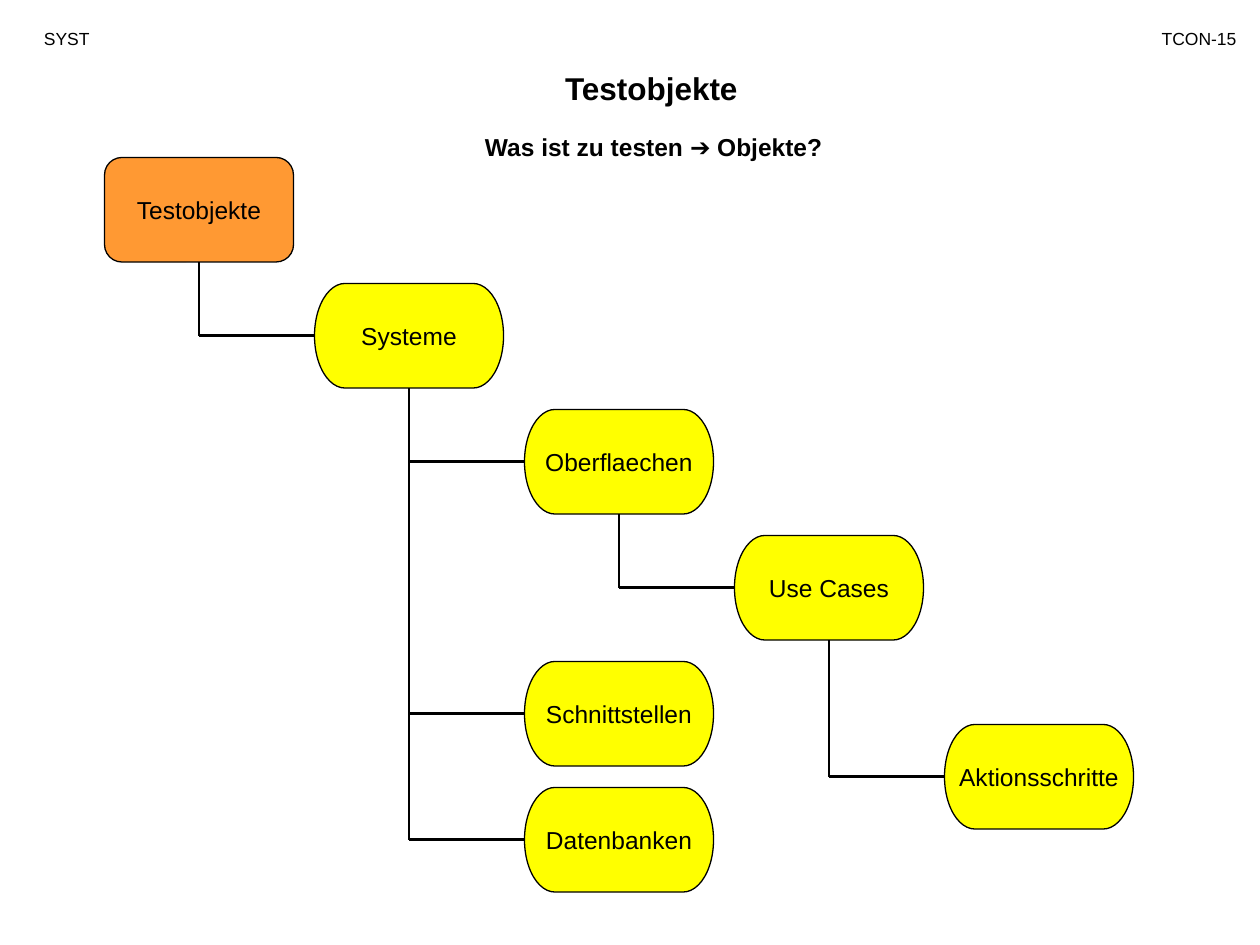
from dataclasses import dataclass

import pptx
import pptx.dml.color
import pptx.enum.shapes
import pptx.enum.text
import pptx.oxml.ns
import pptx.util
from lxml import etree
from pptx.util import Inches

Align = pptx.enum.text.PP_ALIGN
Preset = pptx.enum.shapes.MSO_SHAPE
BLACK, ORANGE, YELLOW = "000000", "FF9933", "FFFF00"
NODE_WIDTH, NODE_HEIGHT = 1.5, 0.83
FIRST_LEFT, FIRST_TOP = 0.83, 1.25
COLUMN_STEP, ROW_STEP = 5 / 3, 1


@dataclass(frozen=True)
class Node:
    label: str
    column: int
    row: float
    children: tuple["Node", ...] = ()
    fill: str = YELLOW
    preset: int = Preset.FLOWCHART_TERMINATOR

    @property
    def left(self) -> float:
        return FIRST_LEFT + self.column * COLUMN_STEP

    @property
    def top(self) -> float:
        return FIRST_TOP + self.row * ROW_STEP

    @property
    def center(self) -> float:
        return self.left + NODE_WIDTH / 2

    @property
    def middle(self) -> float:
        return self.top + NODE_HEIGHT / 2


@dataclass(frozen=True)
class Caption:
    text: str
    left: float
    top: float
    width: float
    height: float
    size: float
    align: int = Align.LEFT
    bold: bool = False


CAPTIONS = (
    Caption("Testobjekte", 2.17, 0.5, 6, 0.4, 18, Align.CENTER, True),
    Caption("SYST", 0.25, 0.17, 0.92, 0.27, 10),
    Caption("TCON-15", 8.83, 0.17, 1.08, 0.27, 10, Align.RIGHT),
    Caption("Was ist zu testen ➔ Objekte?", 3.75, 1, 3.08, 0.34, 14, bold=True),
)

use_cases = Node("Use Cases", 3, 3, (Node("Aktionsschritte", 4, 4.5),))
systems = Node("Systeme", 1, 1, (
    Node("Oberflaechen", 2, 2, (use_cases,)),
    Node("Schnittstellen", 2, 4),
    Node("Datenbanken", 2, 5),
))
TEST_OBJECTS = Node("Testobjekte", 0, 0, (systems,), ORANGE, Preset.ROUNDED_RECTANGLE)


def color(value: str) -> pptx.dml.color.RGBColor:
    """Turn a hex string into a colour."""
    return pptx.dml.color.RGBColor.from_string(value)


def write(frame, text: str, *, size: float, align: int = Align.LEFT, bold: bool = False,
          wrap: bool = True, anchor: int = pptx.enum.text.MSO_ANCHOR.TOP) -> None:
    """Put formatted text into a text frame."""
    frame.word_wrap = wrap
    frame.vertical_anchor = anchor
    paragraph = frame.paragraphs[0]
    paragraph.alignment = align
    run = paragraph.add_run()
    run.text = text
    run.font.name = "Arial"
    run.font.size = pptx.util.Pt(size)
    run.font.bold = bold
    run.font.color.rgb = color(BLACK)


def draw_caption(slide, caption: Caption) -> None:
    """Draw one free-standing text."""
    box = slide.shapes.add_textbox(Inches(caption.left), Inches(caption.top),
                                   Inches(caption.width), Inches(caption.height))
    write(box.text_frame, caption.text, size=caption.size,
          align=caption.align, bold=caption.bold)


def draw_line(slide, x1: float, y1: float, x2: float, y2: float) -> None:
    """Draw one straight branch of the tree."""
    branch = slide.shapes.add_connector(pptx.enum.shapes.MSO_CONNECTOR.STRAIGHT,
                                        Inches(x1), Inches(y1), Inches(x2), Inches(y2))
    branch.line.color.rgb = color(BLACK)
    branch.line.width = pptx.util.Pt(1.5)
    etree.SubElement(branch._element.spPr, pptx.oxml.ns.qn("a:effectLst"))


def draw_tree(slide, node: Node) -> None:
    """Draw a node, its branches and everything below it."""
    shape = slide.shapes.add_shape(node.preset, Inches(node.left), Inches(node.top),
                                   Inches(NODE_WIDTH), Inches(NODE_HEIGHT))
    shape.shadow.inherit = False
    shape.fill.solid()
    shape.fill.fore_color.rgb = color(node.fill)
    shape.line.color.rgb = color(BLACK)
    shape.line.width = pptx.util.Pt(0.75)
    write(shape.text_frame, node.label, size=14, align=Align.CENTER, wrap=False,
          anchor=pptx.enum.text.MSO_ANCHOR.MIDDLE)
    if node.children:
        draw_line(slide, node.center, node.top + NODE_HEIGHT,
                  node.center, node.children[-1].middle)
    for child in node.children:
        draw_line(slide, node.center, child.middle, child.left, child.middle)
        draw_tree(slide, child)


def main() -> None:
    """Build the slide and save it."""
    presentation = pptx.Presentation()
    presentation.slide_width, presentation.slide_height = Inches(10), Inches(7.5)
    slide = presentation.slides.add_slide(presentation.slide_layouts[6])
    for caption in CAPTIONS:
        draw_caption(slide, caption)
    draw_tree(slide, TEST_OBJECTS)
    presentation.save("out.pptx")


if __name__ == "__main__":
    main()
